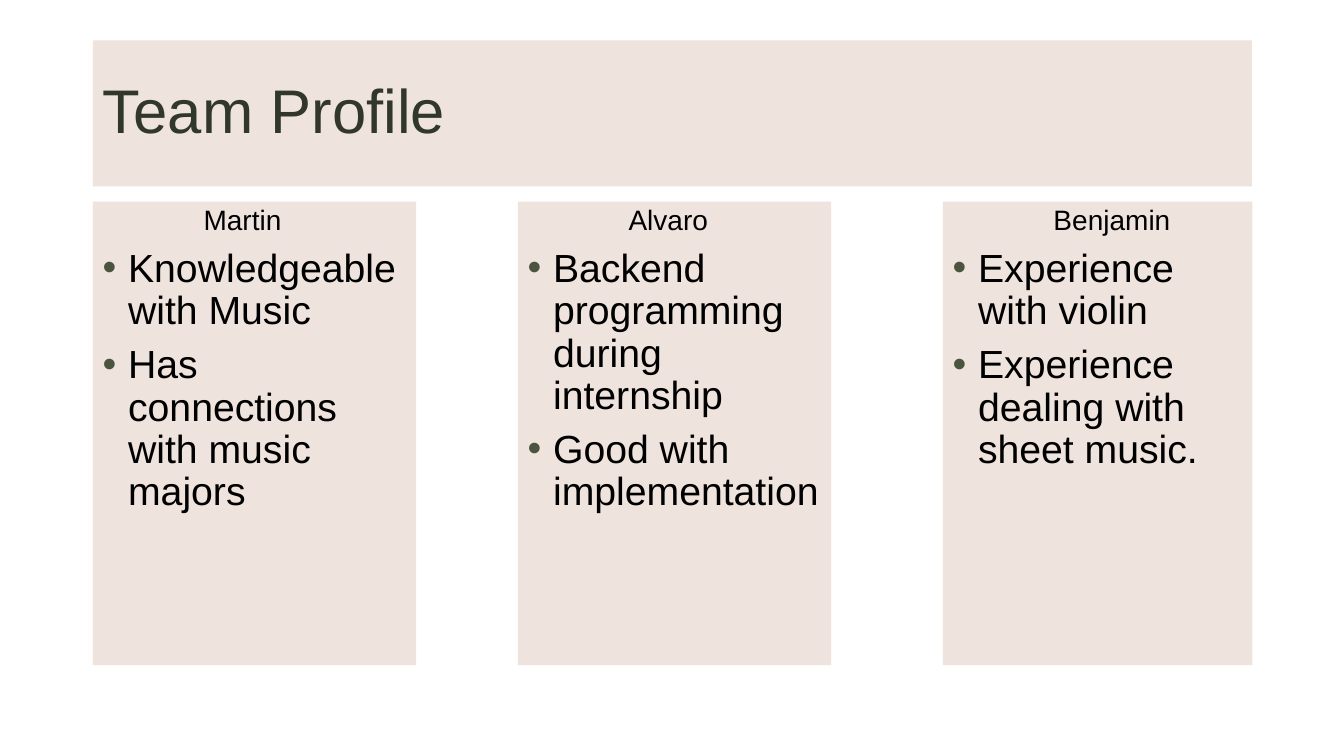
from dataclasses import dataclass

from lxml.etree import SubElement
from pptx import Presentation
from pptx.dml.color import RGBColor
from pptx.enum.text import MSO_ANCHOR, MSO_AUTO_SIZE, PP_ALIGN
from pptx.oxml.ns import qn
from pptx.util import Cm, Pt


@dataclass(frozen=True)
class Theme:
    font: str = "Arial"
    panel: str = "EBDCD5"
    panel_alpha: int = 80000
    title: str = "313829"
    body: str = "000000"
    bullet: str = "4A543E"
    title_size: float = 44
    name_size: float = 20
    body_size: float = 28
    line_spacing: float = 0.9
    space_share: float = 0.3


THEME = Theme()
LEFT = 2.34
COLUMN_PITCH = 10.71
MEMBERS = [
    ("Martin", 8.15, ["Knowledgeable with Music", "Has connections with music majors"]),
    ("Alvaro", 7.9, ["Backend programming during internship", "Good with implementation"]),
    ("Benjamin", 7.8, ["Experience with violin", "Experience dealing with sheet music."]),
]


def apply_format(target, values):
    for name, value in values.items():
        setattr(target, name, value)


def fill_panel(shape):
    shape.fill.solid()
    shape.fill.fore_color.rgb = RGBColor.from_string(THEME.panel)
    color = next(shape._element.spPr.iter(qn("a:srgbClr")))
    SubElement(color, qn("a:alpha"), val=str(THEME.panel_alpha))


def write_text(paragraph, text, size, color):
    run = paragraph.add_run()
    run.text = text
    apply_format(run.font, {"name": THEME.font, "size": Pt(size)})
    run.font.color.rgb = RGBColor.from_string(color)
    apply_format(paragraph, {
        "alignment": PP_ALIGN.LEFT,
        "line_spacing": THEME.line_spacing,
    })


def indent(paragraph, margin, first_line):
    properties = paragraph._p.get_or_add_pPr()
    properties.set("marL", str(Cm(margin)))
    properties.set("indent", str(Cm(first_line)))
    return properties


def add_bullet(paragraph):
    properties = indent(paragraph, 0.64, -0.64)
    color = SubElement(properties, qn("a:buClr"))
    SubElement(color, qn("a:srgbClr"), val=THEME.bullet)
    SubElement(properties, qn("a:buFont"), typeface=THEME.font)
    SubElement(properties, qn("a:buChar"), char="•")


def add_title(slide, left, top, width, height):
    title = slide.shapes.title
    apply_format(title, {
        "left": Cm(left), "top": Cm(top), "width": Cm(width), "height": Cm(height),
    })
    fill_panel(title)
    apply_format(title.text_frame, {
        "word_wrap": True,
        "auto_size": MSO_AUTO_SIZE.NONE,
        "vertical_anchor": MSO_ANCHOR.MIDDLE,
    })
    write_text(title.text_frame.paragraphs[0], "Team Profile", THEME.title_size, THEME.title)


def add_member(slide, left, top, width, height, name, skills):
    panel = slide.shapes.add_textbox(Cm(left), Cm(top), Cm(width), Cm(height))
    fill_panel(panel)
    frame = panel.text_frame
    apply_format(frame, {"word_wrap": True, "vertical_anchor": MSO_ANCHOR.TOP})
    heading = frame.paragraphs[0]
    write_text(heading, name, THEME.name_size, THEME.body)
    heading.level = 2
    heading.space_before = Pt(THEME.name_size * THEME.space_share)
    indent(heading, 2.54, 0)
    for skill in skills:
        paragraph = frame.add_paragraph()
        write_text(paragraph, skill, THEME.body_size, THEME.body)
        paragraph.space_before = Pt(THEME.body_size * THEME.space_share)
        add_bullet(paragraph)


def main():
    presentation = Presentation()
    apply_format(presentation, {"slide_width": Cm(33.87), "slide_height": Cm(19.05)})
    slide = presentation.slides.add_slide(presentation.slide_layouts[5])
    add_title(slide, LEFT, 1.02, 29.21, 3.68)
    for index, (name, width, skills) in enumerate(MEMBERS):
        add_member(slide, LEFT + index * COLUMN_PITCH, 5.08, width, 11.68, name, skills)
    presentation.save("out.pptx")


if __name__ == "__main__":
    main()
